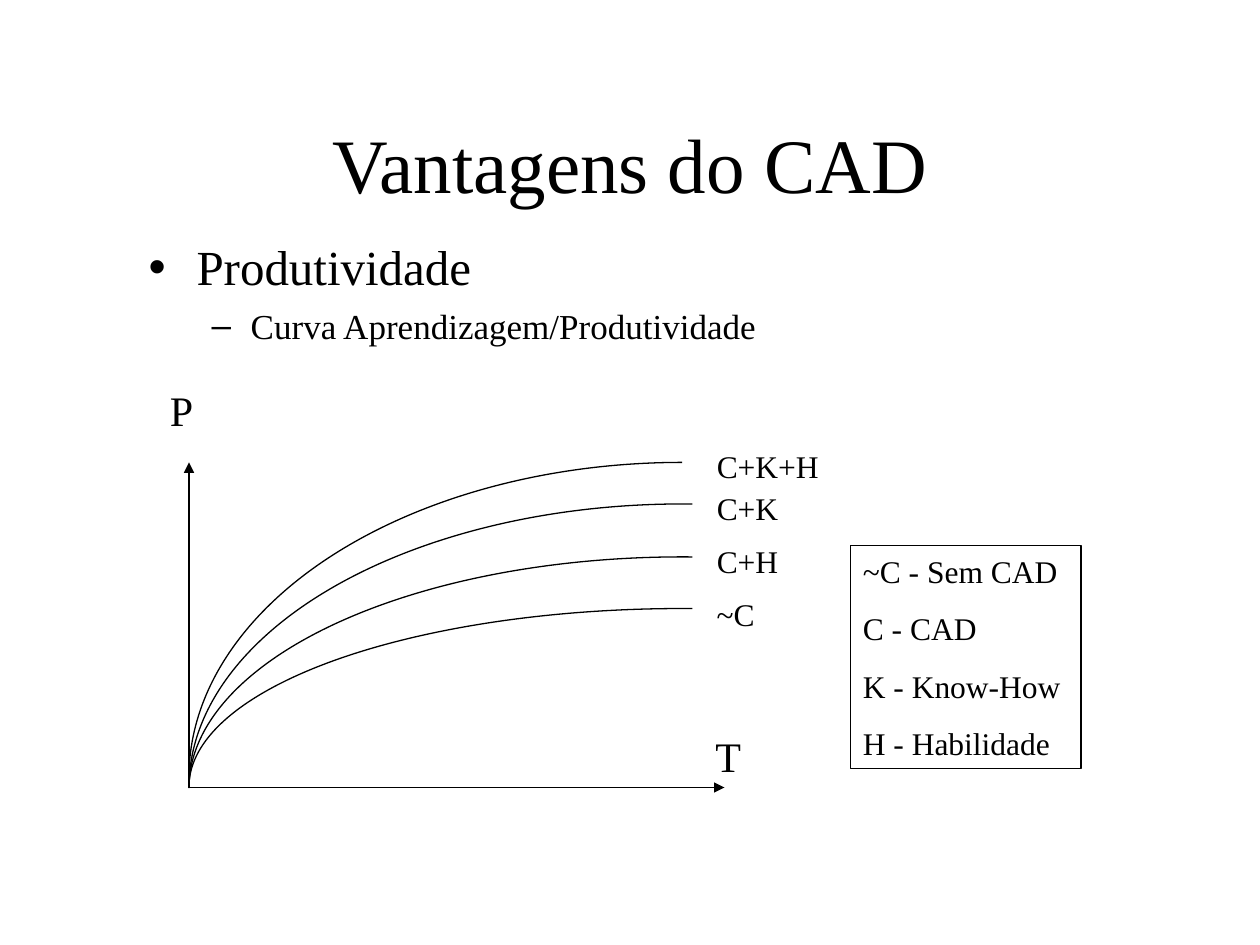
from dataclasses import dataclass
from math import atan2, degrees

from lxml.etree import SubElement
from pptx import Presentation
from pptx.dml.color import RGBColor
from pptx.enum.shapes import MSO_CONNECTOR, MSO_SHAPE
from pptx.enum.text import MSO_ANCHOR, MSO_AUTO_SIZE, PP_ALIGN
from pptx.oxml.ns import qn
from pptx.util import Inches, Pt


@dataclass(frozen=True)
class Theme:
    font: str = "Times New Roman"
    ink: RGBColor = RGBColor(0, 0, 0)
    title: int = 44
    topic: int = 28
    subtopic: int = 20
    axis: int = 24
    label: int = 18
    stroke: float = 0.75


THEME = Theme()
TITLE = "Vantagens do CAD"
TOPICS = [
    # text, level, size, bullet, left margin, hanging indent, space before
    ("Produtividade", 0, THEME.topic, "•", 0.38, 0.38, 0),
    ("Curva Aprendizagem/Produtividade", 1, THEME.subtopic, "–", 0.81, 0.31, 5),
]
CURVES = [
    # label, curve top, ellipse height, overrun past the peak, label top, label width
    ("C+K+H", 3.67, 5, 0, 3.5, 1.01),
    ("C+K", 4, 4.5, 0.08, 3.83, 0.69),
    ("C+H", 4.42, 3.67, 0.08, 4.25, 0.69),
    ("~C", 4.83, 2.83, 0.08, 4.67, 0.5),
]
LEGEND = ["~C - Sem CAD", "C - CAD", "K - Know-How", "H - Habilidade"]
ORIGIN = (1.5, 6.25)
AXES = [
    # name, arrow tip, name position
    ("P", (1.5, 3.67), (1.25, 3)),
    ("T", (5.75, 6.25), (5.58, 5.75)),
]
ELLIPSE_WIDTH = 7.83
LABEL_LEFT = 5.59
ARC_UNITS_PER_DEGREE = 0.6


def place(part, left, top, width, height):
    part.left, part.top = Inches(left), Inches(top)
    part.width, part.height = Inches(width), Inches(height)


def style_text(paragraph, size):
    for run in paragraph.runs:
        run.font.name = THEME.font
        run.font.size = Pt(size)
        run.font.color.rgb = THEME.ink


def style_line(line):
    line.color.rgb = THEME.ink
    line.width = Pt(THEME.stroke)


def add_label(slide, text, size, left, top, width, height, wrap):
    label = slide.shapes.add_textbox(
        Inches(left), Inches(top), Inches(width), Inches(height))
    frame = label.text_frame
    frame.text = text
    frame.word_wrap = wrap
    frame.auto_size = MSO_AUTO_SIZE.SHAPE_TO_FIT_TEXT
    style_text(frame.paragraphs[0], size)


def add_title(slide):
    title = slide.shapes.title
    place(title, 0.75, 0.67, 8.5, 1.25)
    frame = title.text_frame
    frame.text = TITLE
    frame.auto_size = MSO_AUTO_SIZE.NONE
    frame.vertical_anchor = MSO_ANCHOR.MIDDLE
    frame.paragraphs[0].alignment = PP_ALIGN.CENTER
    style_text(frame.paragraphs[0], THEME.title)


def add_topics(slide):
    body = slide.placeholders[1]
    place(body, 1.08, 1.83, 8.5, 4.5)
    frame = body.text_frame
    frame.text = "\n".join(topic[0] for topic in TOPICS)
    frame.auto_size = MSO_AUTO_SIZE.NONE
    for paragraph, topic in zip(frame.paragraphs, TOPICS):
        _, level, size, bullet, margin, hanging, before = topic
        paragraph.level = level
        properties = paragraph._p.get_or_add_pPr()
        properties.set("marL", str(Inches(margin)))
        properties.set("indent", str(-Inches(hanging)))
        SubElement(properties, qn("a:buChar")).set("char", bullet)
        paragraph.space_before = Pt(before)
        style_text(paragraph, size)


def add_axes(slide):
    for name, tip, (left, top) in AXES:
        axis = slide.shapes.add_connector(
            MSO_CONNECTOR.STRAIGHT, *map(Inches, ORIGIN + tip))
        style_line(axis.line)
        SubElement(axis.line._get_or_add_ln(), qn("a:tailEnd")).set("type", "triangle")
        SubElement(axis._element.spPr, qn("a:effectLst"))
        add_label(slide, name, THEME.axis, left, top, 0.33, 0.5, True)


def add_curves(slide):
    for name, top, height, overrun, label_top, label_width in CURVES:
        curve = slide.shapes.add_shape(
            MSO_SHAPE.ARC, Inches(ORIGIN[0]), Inches(top),
            Inches(ELLIPSE_WIDTH), Inches(height))
        end = 270 + degrees(atan2(overrun, height / 2))
        curve.adjustments[0] = 180 * ARC_UNITS_PER_DEGREE
        curve.adjustments[1] = end * ARC_UNITS_PER_DEGREE
        curve.shadow.inherit = False
        curve.fill.background()
        style_line(curve.line)
        add_label(slide, name, THEME.label, LABEL_LEFT, label_top, label_width, 0.4, False)


def add_legend(slide):
    legend = slide.shapes.add_shape(
        MSO_SHAPE.RECTANGLE, Inches(6.75), Inches(4.33), Inches(1.83), Inches(1.77))
    legend.shadow.inherit = False
    legend.fill.background()
    style_line(legend.line)
    frame = legend.text_frame
    frame.text = "\n".join(LEGEND)
    frame.word_wrap = True
    frame.auto_size = MSO_AUTO_SIZE.SHAPE_TO_FIT_TEXT
    frame.vertical_anchor = MSO_ANCHOR.TOP
    for position, paragraph in enumerate(frame.paragraphs):
        paragraph.alignment = PP_ALIGN.LEFT
        paragraph.space_before = Pt(11.2 if position else 0)
        style_text(paragraph, THEME.label)


def main():
    deck = Presentation()
    deck.slide_width, deck.slide_height = Inches(10), Inches(7.5)
    slide = deck.slides.add_slide(deck.slide_layouts[1])
    add_title(slide)
    add_topics(slide)
    add_axes(slide)
    add_curves(slide)
    add_legend(slide)
    deck.save("out.pptx")


if __name__ == "__main__":
    main()
